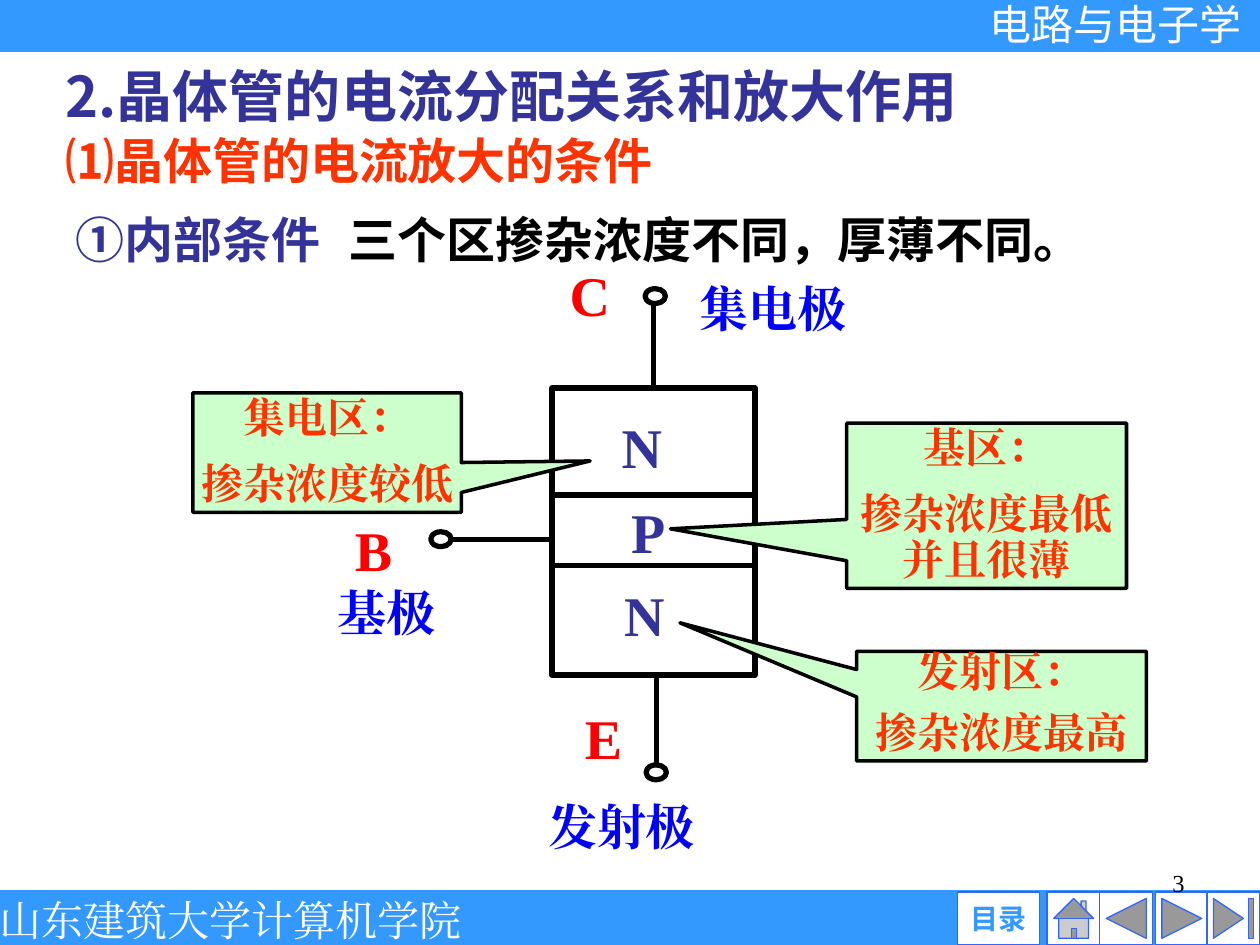
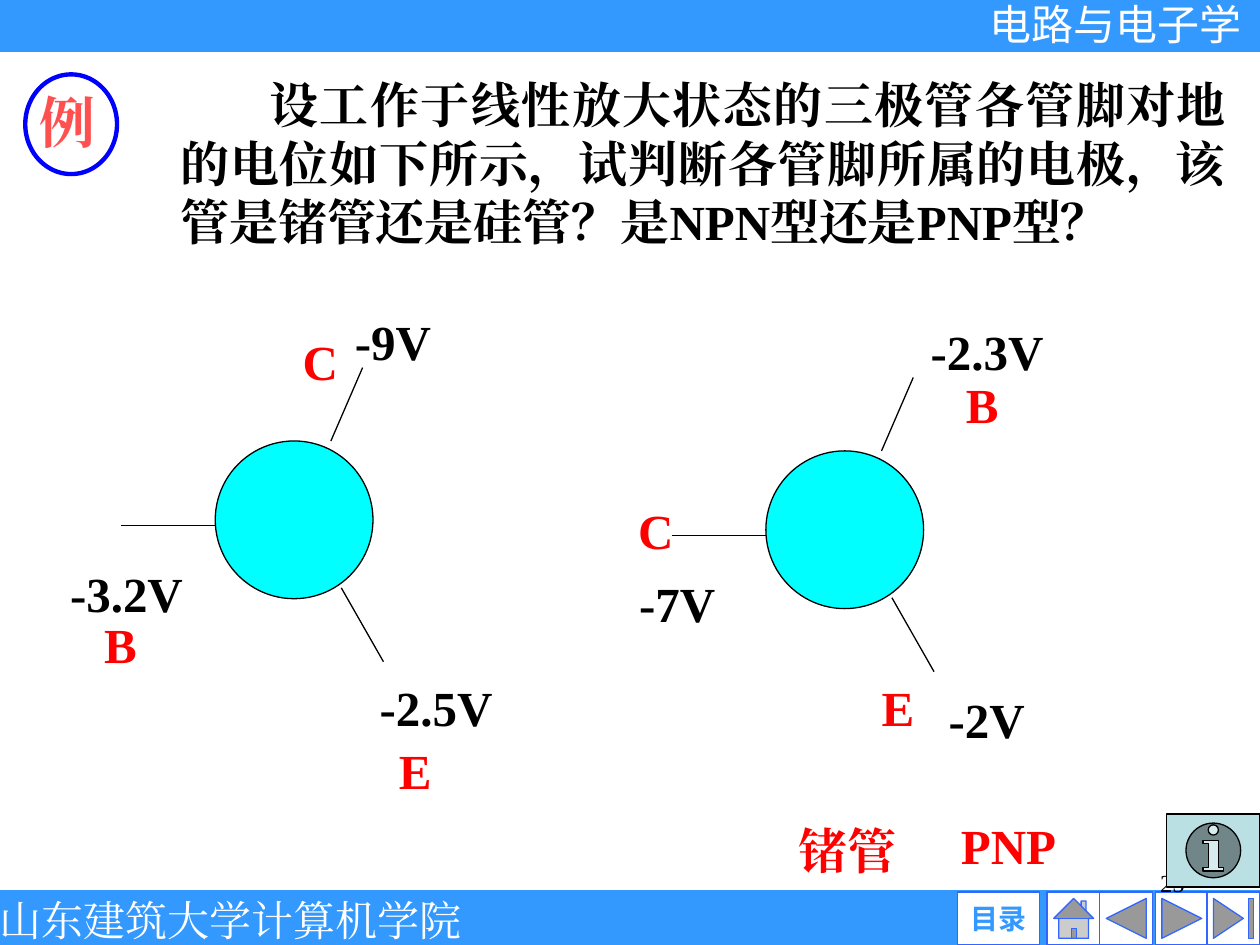
from lxml import etree
from pptx import Presentation
from pptx.dml.color import RGBColor
from pptx.enum import shapes, text
from pptx.oxml import ns
from pptx.util import Cm, Pt

SHAPE = shapes.MSO_SHAPE
ALIGN = text.PP_ALIGN
SERIF, SANS, HEADING = "Times New Roman", "Arial", "Noto Sans CJK SC"
BAND, BUTTON_LINE, INDIGO, ORANGE = "3399FF", "3366FF", "333399", "FF3300"
RED, BLUE, BLACK, WHITE = "FF0000", "0000FF", "000000", "FFFFFF"


def paint(shape, fill, line, width):
    """Set fill (None for hollow) and outline, and switch the theme shadow off."""
    if fill:
        shape.fill.solid()
        shape.fill.fore_color.rgb = RGBColor.from_string(fill)
    elif hasattr(shape, "fill"):
        shape.fill.background()
    shape.line.color.rgb = RGBColor.from_string(line)
    shape.line.width = Pt(width)
    etree.SubElement(shape._element.spPr, ns.qn("a:effectLst"))


def write(shape, lines, size, colour, font=SERIF, align=ALIGN.CENTER,
          bold=True, spacing=1.0, margin=None):
    """Fill a shape with one paragraph per line, all in one style."""
    frame = shape.text_frame
    frame.text = lines
    frame.word_wrap = True
    frame.auto_size = text.MSO_AUTO_SIZE.SHAPE_TO_FIT_TEXT
    frame.vertical_anchor = text.MSO_ANCHOR.MIDDLE
    if margin is not None:
        frame.margin_left = frame.margin_right = margin
        frame.margin_top = frame.margin_bottom = margin
    for number, paragraph in enumerate(frame.paragraphs):
        paragraph.alignment = align
        paragraph.line_spacing = spacing
        paragraph.space_before = Pt(size / 2 if number else 0)
        paragraph.font.size = Pt(size)
        paragraph.font.bold = bold
        paragraph.font.name = font
        paragraph.font.color.rgb = RGBColor.from_string(colour)
        defaults = paragraph._p.pPr.find(ns.qn("a:defRPr"))
        etree.SubElement(defaults, ns.qn("a:ea"), typeface=font)


prs = Presentation()
prs.slide_width, prs.slide_height = Cm(25.4), Cm(19.05)
layout = prs.slide_layouts[5]
structure = prs.slides.add_slide(layout)
example = prs.slides.add_slide(layout)

# Shared bands and navigation, placed on the layout
shared = []
for top in (0, 18):
    band = structure.shapes.add_shape(SHAPE.RECTANGLE, 0, Cm(top), Cm(25.4), Cm(1))
    paint(band, BAND, BAND, 3)
    shared.append(band)

for kind, left, width in (
    (SHAPE.ACTION_BUTTON_CUSTOM, 19.3, 1.65),
    (SHAPE.ACTION_BUTTON_HOME, 21.11, 1.07),
    (SHAPE.ACTION_BUTTON_BACK_OR_PREVIOUS, 22.17, 1.07),
    (SHAPE.ACTION_BUTTON_FORWARD_OR_NEXT, 23.29, 1.07),
    (SHAPE.ACTION_BUTTON_END, 24.33, 1.07),
):
    button = structure.shapes.add_shape(kind, Cm(left), Cm(17.98), Cm(width), Cm(1.07))
    paint(button, WHITE, BUTTON_LINE, 0.75)
    if kind == SHAPE.ACTION_BUTTON_CUSTOM:
        write(button, "目录", 16, BAND, SANS, margin=0)
        button.text_frame.auto_size = text.MSO_AUTO_SIZE.NONE
    shared.append(button)

for name, font, left, top, width in (
    ("电路与电子学", SANS, 19.95, -0.03, 5.4),
    ("山东建筑大学计算机学院", SERIF, 0, 18.03, 9.32),
):
    banner = structure.shapes.add_textbox(Cm(left), Cm(top), Cm(width), Cm(1.02))
    write(banner, name, 24, WHITE, font, ALIGN.LEFT, bold=False, margin=0)
    shared.append(banner)

for part in shared:
    layout.shapes.element.append(part._element)

for slide, number in ((structure, "3"), (example, "25")):
    page = slide.shapes.add_textbox(Cm(18.21), Cm(17.35), Cm(5.92), Cm(0.87))
    write(page, number, 14, BLACK, align=ALIGN.RIGHT, bold=False)

# Transistor structure: headings
title = structure.shapes.title
title.left, title.top, title.width, title.height = Cm(1.07), Cm(1.12), Cm(19.68), Cm(1.6)
write(title, "2.晶体管的电流分配关系和放大作用", 32, INDIGO, HEADING, ALIGN.LEFT)

for heading, colour, left, top, width in (
    ("⑴晶体管的电流放大的条件", ORANGE, 1.07, 2.49, 14),
    ("①内部条件", INDIGO, 1.27, 4.09, 5.72),
    ("三个区掺杂浓度不同，厚薄不同。", BLACK, 6.78, 4.09, 15.72),
):
    box = structure.shapes.add_textbox(Cm(left), Cm(top), Cm(width), Cm(1.45))
    write(box, heading, 28, colour, HEADING, ALIGN.LEFT)

# Transistor structure: the three regions and their terminals
for top, height in ((7.82, 2.16), (9.98, 1.42), (11.4, 2.21)):
    region = structure.shapes.add_shape(
        SHAPE.RECTANGLE, Cm(11.13), Cm(top), Cm(4.09), Cm(height))
    paint(region, None, BLACK, 3)

RING_WIDTH, RING_HEIGHT = 0.41, 0.3
for ring_x, ring_y, start_x, start_y, end_x, end_y in (
    (13.21, 5.97, 13.18, 6.12, 13.18, 7.82),
    (8.89, 10.87, 9.1, 10.87, 11.13, 10.87),
    (13.23, 15.57, 13.23, 15.42, 13.23, 13.61),
):
    lead = structure.shapes.add_connector(
        shapes.MSO_CONNECTOR.STRAIGHT, Cm(start_x), Cm(start_y), Cm(end_x), Cm(end_y))
    paint(lead, None, BLACK, 3)
    ring = structure.shapes.add_shape(
        SHAPE.OVAL, Cm(ring_x - RING_WIDTH / 2), Cm(ring_y - RING_HEIGHT / 2),
        Cm(RING_WIDTH), Cm(RING_HEIGHT))
    paint(ring, None, BLACK, 3)

# Region callouts, with the tip as a share of the callout size
for notes, left, top, width, height, tip_x, tip_y, spacing in (
    ("基区：\n掺杂浓度最低并且很薄", 17.07, 8.53, 5.64, 3.33, -1.13, 0.14, 0.9),
    ("集电区：\n掺杂浓度较低", 3.89, 7.92, 5.41, 2.41, 0.98, 0.07, 0.9),
    ("发射区：\n掺杂浓度最高", 17.27, 13.13, 5.84, 2.21, -1.11, -0.76, 0.8),
):
    callout = structure.shapes.add_shape(
        SHAPE.RECTANGULAR_CALLOUT, Cm(left), Cm(top), Cm(width), Cm(height))
    callout.adjustments[0], callout.adjustments[1] = tip_x, tip_y
    paint(callout, "CCFFCC", BLACK, 2)
    write(callout, notes, 24, ORANGE, spacing=spacing, margin=0)

# Example: question, badge and information button
question = example.shapes.title
question.left, question.top, question.width, question.height = (
    Cm(3.38), Cm(1.37), Cm(21.59), Cm(3.81))
write(question, "设工作于线性放大状态的三极管各管脚对地的电位如下所示，试判断各管脚"
      "所属的电极，该管是锗管还是硅管？是NPN型还是PNP型？", 28, BLACK, align=ALIGN.JUSTIFY)
question.text_frame.paragraphs[0]._p.pPr.set("indent", str(Cm(1.8)))

badge = example.shapes.add_shape(SHAPE.OVAL, Cm(0.51), Cm(1.5), Cm(1.85), Cm(2.01))
paint(badge, WHITE, BLUE, 2.5)
information = example.shapes.add_shape(
    SHAPE.ACTION_BUTTON_INFORMATION, Cm(23.52), Cm(16.41), Cm(1.88), Cm(1.47))
paint(information, "BBE0E3", BLACK, 0.75)

# Example: two transistors with their three leads
for left, top in ((4.34, 8.89), (15.44, 9.09)):
    transistor = example.shapes.add_shape(
        SHAPE.OVAL, Cm(left), Cm(top), Cm(3.18), Cm(3.18))
    paint(transistor, "00FFFF", BLACK, 0.75)
    for start_x, start_y, end_x, end_y in (
        (-1.9, 1.7, 0, 1.7), (2.33, 0, 2.97, -1.48), (2.54, 2.96, 3.39, 4.45),
    ):
        lead = example.shapes.add_connector(
            shapes.MSO_CONNECTOR.STRAIGHT, Cm(left + start_x), Cm(top + start_y),
            Cm(left + end_x), Cm(top + end_y))
        paint(lead, None, BLACK, 0.75)

# Labels, grouped by style and given by their centres
LABEL_WIDTH = 4
for slide, size, colour, labels in (
    (structure, 32, RED, (("B", 7.53, 11.06), ("E", 12.17, 14.85), ("C", 11.89, 5.93))),
    (structure, 32, INDIGO, (("N", 12.94, 9), ("P", 13.07, 10.71), ("N", 12.99, 12.38))),
    (structure, 28, BLUE, (
        ("基极", 7.8, 12.33), ("发射极", 12.53, 16.65), ("集电极", 15.58, 6.21))),
    (example, 28, BLACK, (
        ("-3.2V", 2.55, 11.95), ("-2.5V", 8.79, 14.26), ("-9V", 7.92, 6.87),
        ("-7V", 13.65, 12.15), ("-2V", 19.89, 14.49), ("-2.3V", 19.9, 7.07))),
    (example, 28, RED, (
        ("C", 6.46, 7.28), ("B", 2.43, 12.99), ("E", 8.37, 15.53),
        ("C", 13.22, 10.68), ("B", 19.8, 8.14), ("E", 18.1, 14.26),
        ("锗管", 17.09, 17.13), ("PNP", 20.33, 17.03))),
    (example, 32, "FF5050", (("例", 1.36, 2.45),)),
):
    height = size / 20
    for label, centre_x, centre_y in labels:
        box = slide.shapes.add_textbox(
            Cm(centre_x - LABEL_WIDTH / 2), Cm(centre_y - height / 2),
            Cm(LABEL_WIDTH), Cm(height))
        write(box, label, size, colour)

prs.save("out.pptx")
